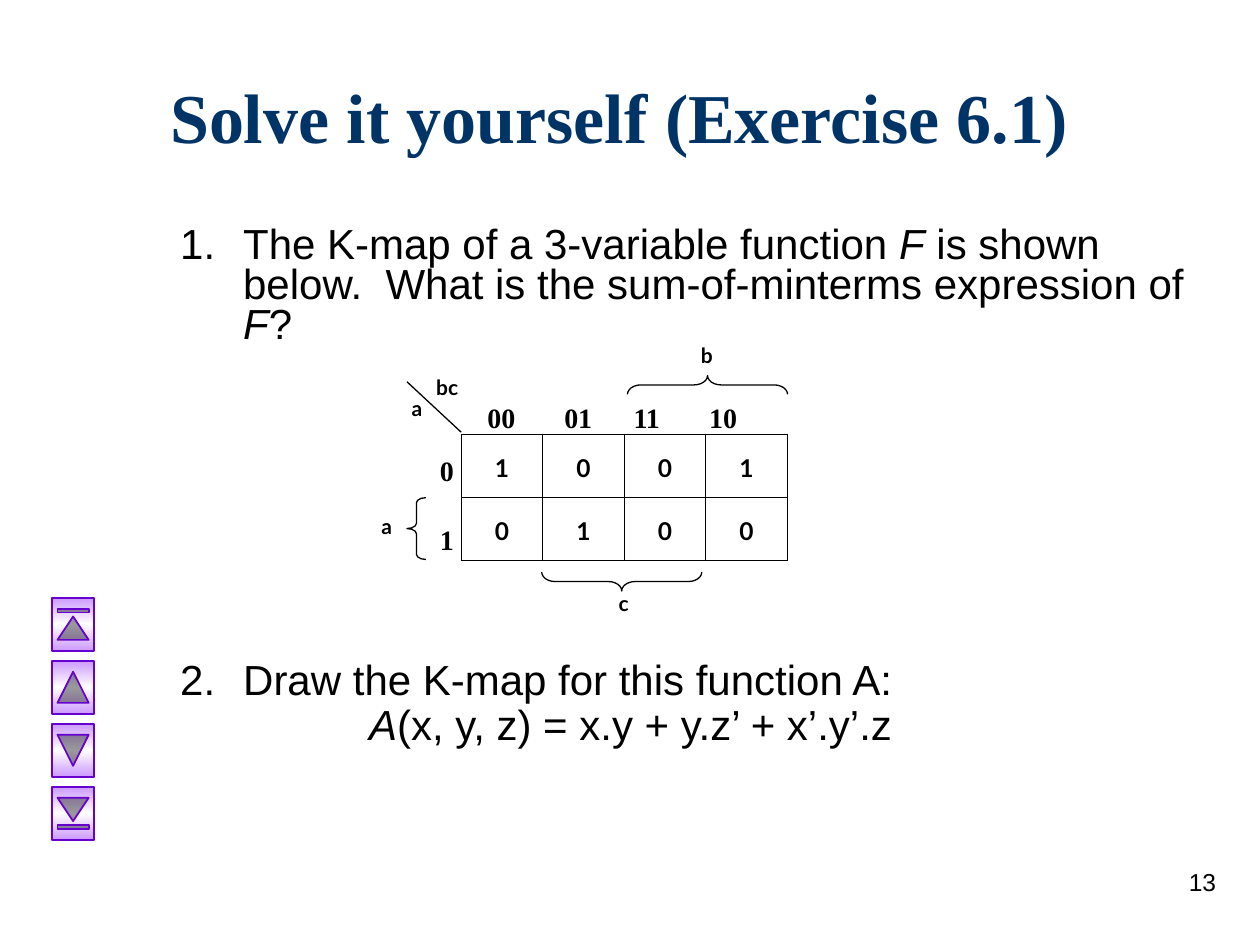
from lxml import etree
from pptx import Presentation
from pptx.dml.color import RGBColor
from pptx.enum.shapes import MSO_CONNECTOR, MSO_SHAPE
from pptx.enum.text import MSO_ANCHOR, MSO_AUTO_SIZE, PP_ALIGN
from pptx.oxml import parse_xml
from pptx.oxml.ns import nsdecls, qn
from pptx.util import Inches, Pt

LEFT, CENTER, RIGHT = PP_ALIGN.LEFT, PP_ALIGN.CENTER, PP_ALIGN.RIGHT
MIDDLE, TOP = MSO_ANCHOR.MIDDLE, MSO_ANCHOR.TOP
NO_AUTOFIT = MSO_AUTO_SIZE.NONE
STRAIGHT = MSO_CONNECTOR.STRAIGHT
LEFT_BRACE = MSO_SHAPE.LEFT_BRACE
BUTTONS = [
    MSO_SHAPE.ACTION_BUTTON_BEGINNING,
    MSO_SHAPE.ACTION_BUTTON_BACK_OR_PREVIOUS,
    MSO_SHAPE.ACTION_BUTTON_FORWARD_OR_NEXT,
    MSO_SHAPE.ACTION_BUTTON_END,
]
NAVY = RGBColor(0x00, 0x33, 0x66)
BLACK = RGBColor(0x00, 0x00, 0x00)
PURPLE = RGBColor(0x66, 0x00, 0xCC)
LILAC = RGBColor(0xCC, 0x99, 0xFF)
WHITE = RGBColor(0xFF, 0xFF, 0xFF)


def add_run(paragraph, text, font, size, color=BLACK, bold=False, italic=False):
    run = paragraph.add_run()
    run.text = text
    run.font.name = font
    run.font.size = Pt(size)
    run.font.color.rgb = color
    run.font.bold = bold
    run.font.italic = italic


def add_label(text, left, top, width, height, font, size, align=CENTER, bold=True):
    box = slide.shapes.add_textbox(Inches(left), Inches(top), Inches(width), Inches(height))
    box.text_frame.word_wrap = True
    paragraph = box.text_frame.paragraphs[0]
    paragraph.alignment = align
    add_run(paragraph, text, font, size, bold=bold)
    return box.text_frame


presentation = Presentation()
presentation.slide_width = Inches(10)
presentation.slide_height = Inches(7.5)
slide = presentation.slides.add_slide(presentation.slide_layouts[1])

title = slide.shapes.title
title.left, title.top = Inches(1.25), Inches(0.5)
title.width, title.height = Inches(8.5), Inches(0.83)
title.text_frame.auto_size = NO_AUTOFIT
title.text_frame.vertical_anchor = MIDDLE
paragraph = title.text_frame.paragraphs[0]
paragraph.alignment = LEFT
add_run(paragraph, "Solve it yourself (Exercise 6.1)", "Times New Roman", 40, NAVY, bold=True)

body = slide.placeholders[1]
body.left, body.top = Inches(1.33), Inches(1.75)
body.width, body.height = Inches(8.5), Inches(4.33)
body.text_frame.auto_size = NO_AUTOFIT
body.text_frame.vertical_anchor = TOP
questions = [
    (True, 0, [
        ("The K-map of a 3-variable function ", False),
        ("F", True),
        (" is shown below.  What is the sum-of-minterms expression of ", False),
        ("F", True),
        ("?", False),
    ]),
    (True, 180, [("Draw the K-map for this function A:", False)]),
    (False, 3, [("A", True), ("(x, y, z) = x.y + y.z’ + x’.y’.z", False)]),
]
for index, (numbered, space_before, runs) in enumerate(questions):
    paragraph = body.text_frame.paragraphs[0] if index == 0 else body.text_frame.add_paragraph()
    properties = paragraph._p.get_or_add_pPr()
    properties.set("marL", str(Inches(0.5 if numbered else 1.5)))
    properties.set("indent", str(Inches(-0.5 if numbered else 0)))
    if numbered:
        etree.SubElement(properties, qn("a:buFont"), typeface="Arial")
        etree.SubElement(properties, qn("a:buAutoNum"), type="arabicPeriod")
    else:
        etree.SubElement(properties, qn("a:buNone"))
    paragraph.alignment = LEFT
    paragraph.line_spacing = 0.8
    paragraph.space_before = Pt(space_before)
    for text, italic in runs:
        add_run(paragraph, text, "Arial", 24, italic=italic)

for index, button_type in enumerate(BUTTONS):
    button = slide.shapes.add_shape(
        button_type, Inches(0.37), Inches(4.79 + 0.5 * index), Inches(0.42), Inches(0.33))
    button.rotation = 90
    button.shadow.inherit = False
    button.line.color.rgb = PURPLE
    button.line.width = Pt(1)
    button.fill.gradient()
    button.fill.gradient_angle = 0
    stops = button._element.spPr.find(qn("a:gradFill")).find(qn("a:gsLst"))
    for stop in list(stops):
        stops.remove(stop)
    for position, color in [(0, LILAC), (50000, WHITE), (100000, LILAC)]:
        stop = etree.SubElement(stops, qn("a:gs"), pos=str(position))
        etree.SubElement(stop, qn("a:srgbClr"), val=str(color))

map_values = ["1001", "0100"]
map_frame = slide.shapes.add_table(2, 4, Inches(3.66), Inches(3.45), Inches(2.59), Inches(1))
map_table = map_frame.table
map_table.first_row = False
map_table.horz_banding = False
for row_index, row_values in enumerate(map_values):
    for column_index, value in enumerate(row_values):
        cell = map_table.cell(row_index, column_index)
        cell.margin_top, cell.margin_bottom = Inches(0.15), Inches(0.05)
        cell_properties = cell._tc.get_or_add_tcPr()
        for side in ("lnL", "lnR", "lnT", "lnB"):
            cell_properties.append(parse_xml(
                f'<a:{side} {nsdecls("a")} w="{Pt(0.75)}"><a:solidFill>'
                f'<a:srgbClr val="{BLACK}"/></a:solidFill></a:{side}>'))
        cell.fill.background()
        paragraph = cell.text_frame.paragraphs[0]
        paragraph.alignment = CENTER
        add_run(paragraph, value, "Lato", 14, bold=True)

braces = [
    (3.23, 3.95, 0.49, 0),
    (5.54, 2.42, 1.27, 90),
    (4.86, 3.98, 1.27, 270),
]
brace_width = 0.15
for left, top, length, rotation in braces:
    brace = slide.shapes.add_shape(
        LEFT_BRACE, Inches(left), Inches(top), Inches(brace_width), Inches(length))
    brace.adjustments[0] = length / brace_width / 12
    brace.rotation = rotation
    brace.shadow.inherit = False
    brace.fill.background()
    brace.line.color.rgb = BLACK
    brace.line.width = Pt(0.75)

diagonal = slide.shapes.add_connector(
    STRAIGHT, Inches(3.66), Inches(3.43), Inches(3.23), Inches(3.03))
diagonal.line.color.rgb = BLACK
diagonal.line.width = Pt(0.75)
etree.SubElement(diagonal._element.spPr, qn("a:effectLst"))

variable_labels = [
    ("a", 2.83, 4.03, 0.48, 0.4),
    ("b", 5.37, 2.67, 0.48, 0.32),
    ("c", 4.71, 4.64, 0.48, 0.3),
    ("a", 3.07, 3.09, 0.48, 0.4),
    ("bc", 3.27, 2.92, 0.56, 0.32),
]
for text, left, top, width, height in variable_labels:
    add_label(text, left, top, width, height, "Lato", 12)

row_labels = add_label("0", 3.33, 3.55, 0.37, 0.85, "Times New Roman", 16, RIGHT)
paragraph = row_labels.add_paragraph()
paragraph.alignment = RIGHT
paragraph.space_before = Pt(20)
add_run(paragraph, "1", "Times New Roman", 16, bold=True)

column_labels = add_label("00\t01\t11\t10", 3.77, 3.13, 2.41, 0.4, "Times New Roman", 16, LEFT)
properties = column_labels.paragraphs[0]._p.get_or_add_pPr()
tab_list = etree.SubElement(properties, qn("a:tabLst"))
for position in (0.61, 1.16, 1.76):
    etree.SubElement(tab_list, qn("a:tab"), pos=str(Inches(position)), algn="l")

add_label("13", 7.67, 6.83, 2.08, 0.5, "Arial", 14, RIGHT, bold=False)

presentation.save("out.pptx")
